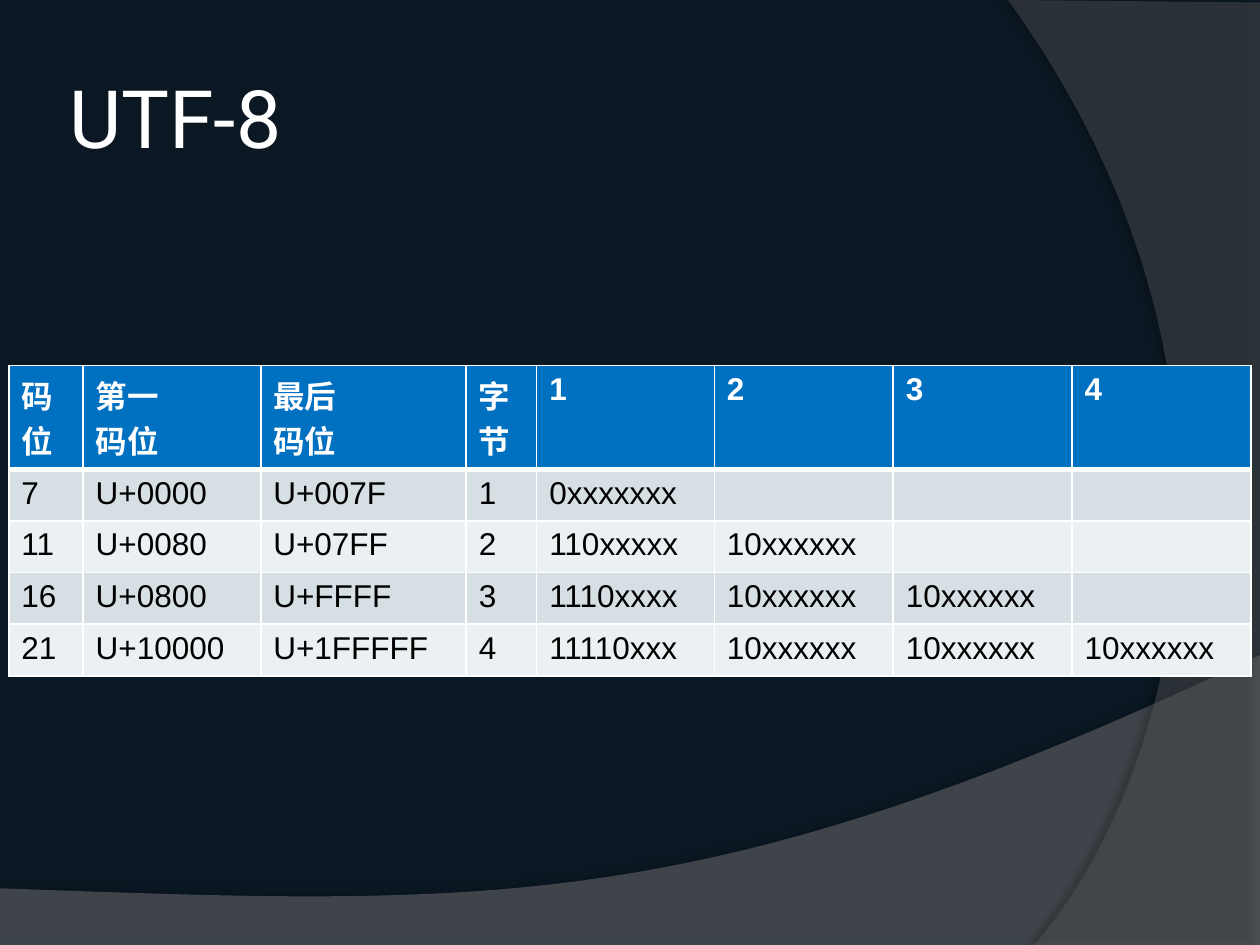
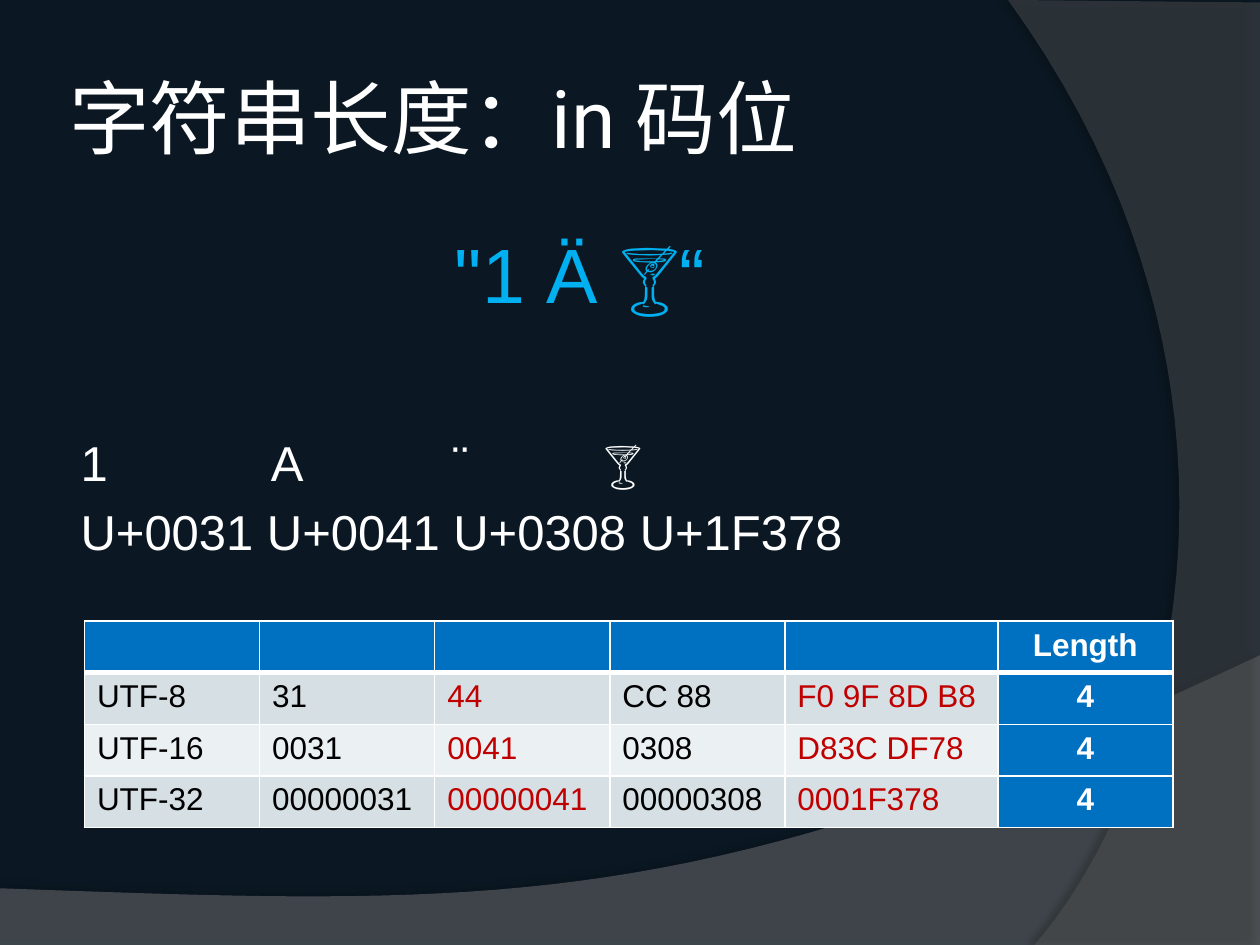
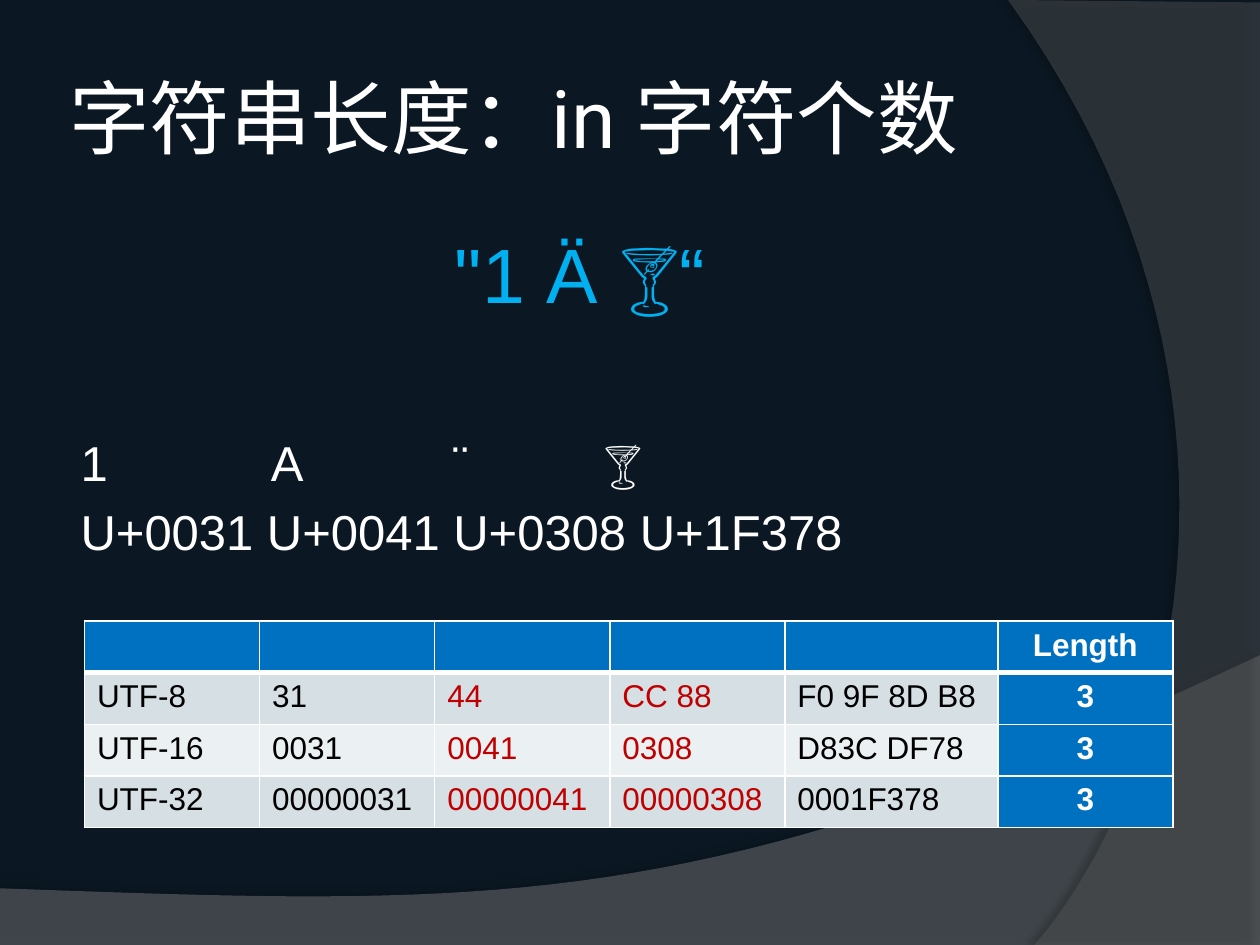
from dataclasses import dataclass

from lxml import etree
from pptx import Presentation
from pptx import util as u
from pptx.dml.color import RGBColor
from pptx.enum import text
from pptx.oxml.ns import qn


@dataclass(frozen=True)
class Theme:
    """Colours, fonts and type sizes shared by all slides."""
    night: str = "0B1823"
    white: str = "FFFFFF"
    black: str = "000000"
    header: str = "0070C0"
    stripes: tuple = ("D5DFE4", "EBF0F2")
    highlight: str = "C00000"
    sample: str = "00B0F0"
    hill: str = "7F7F7F"
    arc: str = "5E5E5E"
    title_font: str = "Roboto"
    body_font: str = "Arial"
    title_size: int = 46
    sample_size: int = 44
    code_size: int = 28
    table_size: int = 18


THEME = Theme()
CODE_POINT_ROWS = [
    ["码\n位", "第一\n码位", "最后\n码位", "字\n节", "1", "2", "3", "4"],
    ["7", "U+0000", "U+007F", "1", "0xxxxxxx", "", "", ""],
    ["11", "U+0080", "U+07FF", "2", "110xxxxx", "10xxxxxx", "", ""],
    ["16", "U+0800", "U+FFFF", "3", "1110xxxx", "10xxxxxx", "10xxxxxx", ""],
    ["21", "U+10000", "U+1FFFFF", "4", "11110xxx", "10xxxxxx", "10xxxxxx", "10xxxxxx"],
]
ENCODING_ROWS = [
    ["UTF-8", "31", "44", "CC 88", "F0 9F 8D B8"],
    ["UTF-16", "0031", "0041", "0308", "D83C DF78"],
    ["UTF-32", "00000031", "00000041", "00000308", "0001F378"],
]


def add_xml(parent, tag, **attributes):
    """Append a DrawingML element with the given attributes."""
    values = {key: str(value) for key, value in attributes.items()}
    return etree.SubElement(parent, qn(tag), values)


def style(paragraph, size, color, font=THEME.body_font, bold=False):
    """Format every run of a paragraph."""
    for run in paragraph.runs:
        run.font.size = u.Pt(size)
        run.font.name = font
        run.font.bold = bold
        run.font.color.rgb = RGBColor.from_string(color)


def bezier(start, control_a, control_b, end, steps=40):
    """Return points along a cubic curve, without its start."""
    points = []
    for step in range(1, steps + 1):
        t = step / steps
        weights = ((1 - t) ** 3, 3 * t * (1 - t) ** 2, 3 * t * t * (1 - t), t ** 3)
        corners = (start, control_a, control_b, end)
        points.append(tuple(sum(w * c[axis] for w, c in zip(weights, corners))
                            for axis in (0, 1)))
    return points


def add_band(slide, outline, color, opacity, shadow_opacity, distance, direction):
    """Draw a translucent band with a soft shadow and place it on the layout."""
    points = [(u.Inches(x), u.Inches(y)) for x, y in outline]
    builder = slide.shapes.build_freeform(*points[0])
    builder.add_line_segments(points[1:], close=True)
    band = builder.convert_to_shape()
    band.fill.solid()
    band.fill.fore_color.rgb = RGBColor.from_string(color)
    fill_color = band.element.spPr.find(qn("a:solidFill"))[0]
    add_xml(fill_color, "a:alpha", val=opacity * 1000)
    band.line.fill.background()
    effects = add_xml(band.element.spPr, "a:effectLst")
    shadow = add_xml(effects, "a:outerShdw", blurRad=u.Pt(4), dist=u.Pt(distance),
                     dir=direction * 60000, algn="ctr", rotWithShape=0)
    shadow_color = add_xml(shadow, "a:srgbClr", val=THEME.black)
    add_xml(shadow_color, "a:alpha", val=shadow_opacity * 1000)
    layout_shapes = slide.slide_layout.shapes
    next_id = max(shape.shape_id for shape in layout_shapes) + 1
    band.element.nvSpPr.cNvPr.set("id", str(next_id))
    layout_shapes.element.append(band.element)


def add_backdrop(slide):
    """Give the shared layout its background and two curved bands."""
    background = slide.slide_layout.background.fill
    background.solid()
    background.fore_color.rgb = RGBColor.from_string(THEME.night)
    hill = [(0, 7.05), (0, 7.51), (10, 7.51), (10, 5.2)]
    hill += bezier(hill[-1], (5.59, 7.29), (3.91, 7.19), hill[0])
    arc = [(10, 0.02), (10, 7.5), (8.21, 7.5)]
    arc += bezier(arc[-1], (9.35, 6.19), (10.18, 3), (8, 0))
    add_band(slide, hill, THEME.hill, 45, 35, 3.5, 270)
    add_band(slide, arc, THEME.arc, 40, 45, 4, 180)


def add_titled_slide(prs, heading):
    """Add a title-only slide with a formatted title."""
    slide = prs.slides.add_slide(prs.slide_layouts[5])
    title = slide.shapes.title
    title.left, title.top = u.Inches(0.5), u.Inches(0.3)
    title.width, title.height = u.Inches(8.17), u.Inches(1.25)
    frame = title.text_frame
    frame.text = heading
    frame.vertical_anchor = text.MSO_ANCHOR.MIDDLE
    frame.margin_left = frame.margin_right = u.Inches(0.05)
    frame.margin_top = frame.margin_bottom = u.Inches(0.05)
    frame.paragraphs[0].alignment = text.PP_ALIGN.LEFT
    style(frame.paragraphs[0], THEME.title_size, THEME.white, THEME.title_font)
    return slide


def add_sample_text(slide):
    """Show the sample string and its code points, aligned by tab stops."""
    box = slide.shapes.add_textbox(u.Inches(0.5), u.Inches(1.75),
                                   u.Inches(8.17), u.Inches(4.95))
    frame = box.text_frame
    frame.word_wrap = True
    frame.margin_left = u.Inches(0.14)
    frame.text = "\"1 Ä 🍸“\n1\tA\t¨\t🍸\nU+0031 U+0041 U+0308 U+1F378"
    sample, characters, codes = frame.paragraphs
    sample.alignment = text.PP_ALIGN.CENTER
    style(sample, THEME.sample_size, THEME.sample)
    for paragraph, gap in ((characters, 65), (codes, 5.6)):
        paragraph.space_before = u.Pt(gap)
        style(paragraph, THEME.code_size, THEME.white)
    tabs = add_xml(characters._p.get_or_add_pPr(), "a:tabLst")
    for stop in (1.51, 2.95, 4.15):
        add_xml(tabs, "a:tab", pos=u.Inches(stop), algn="l")


def set_borders(cell, row):
    """Draw white cell borders, thick below the header row."""
    widths = {"L": 1, "R": 1, "T": 3 if row == 1 else 1, "B": 3 if row == 0 else 1}
    for side, width in widths.items():
        line = add_xml(cell._tc.get_or_add_tcPr(), f"a:ln{side}", w=u.Pt(width))
        add_xml(add_xml(line, "a:solidFill"), "a:srgbClr", val=THEME.white)


def add_grid(slide, left, top, widths, heights, rows, highlights=(), total=None):
    """Add a striped table with highlighted columns and an optional total column."""
    table = slide.shapes.add_table(
        len(rows), len(widths), u.Inches(left), u.Inches(top),
        u.Inches(sum(widths)), u.Inches(sum(heights))).table
    for column, width in zip(table.columns, widths):
        column.width = u.Inches(width)
    for r, (values, height) in enumerate(zip(rows, heights)):
        table.rows[r].height = u.Inches(height)
        for c, value in enumerate(values):
            cell = table.cell(r, c)
            strong = r == 0 or c == total
            set_borders(cell, r)
            cell.fill.solid()
            fill = THEME.header if strong else THEME.stripes[(r - 1) % 2]
            cell.fill.fore_color.rgb = RGBColor.from_string(fill)
            plain = THEME.highlight if c in highlights else THEME.black
            cell.text_frame.text = value
            for paragraph in cell.text_frame.paragraphs:
                style(paragraph, THEME.table_size,
                      THEME.white if strong else plain, bold=strong)
                if c == total:
                    paragraph.alignment = text.PP_ALIGN.CENTER


def add_length_slide(prs, unit, length, highlights):
    """Add a slide that counts the sample string in one unit."""
    slide = add_titled_slide(prs, f"字符串长度：in {unit}")
    add_sample_text(slide)
    rows = [[""] * 5 + ["Length"]] + [row + [length] for row in ENCODING_ROWS]
    add_grid(slide, 0.67, 4.93, [1.39] * 4 + [1.69, 1.39], [0.41] * 4, rows,
             highlights, total=5)


def main():
    """Build the three slides and save them."""
    prs = Presentation()
    prs.slide_width, prs.slide_height = u.Inches(10), u.Inches(7.5)
    utf8 = add_titled_slide(prs, "UTF-8")
    add_backdrop(utf8)
    add_grid(utf8, 0.07, 2.9, [0.59, 1.41, 1.63, 0.56, 1.41] + [1.42] * 3,
             [0.77] + [0.41] * 4, CODE_POINT_ROWS)
    add_length_slide(prs, "码位", "4", (2, 4))
    add_length_slide(prs, "字符个数", "3", (2, 3))
    prs.save("out.pptx")


main()
